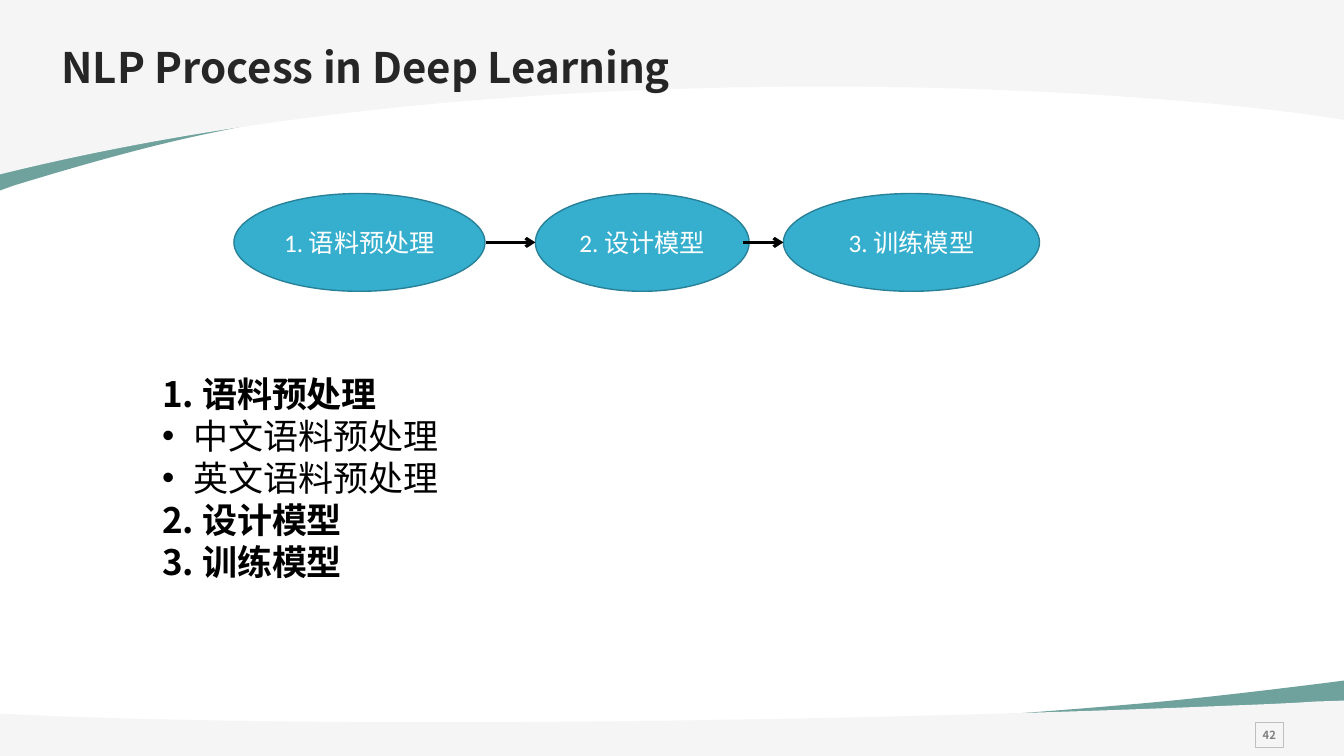
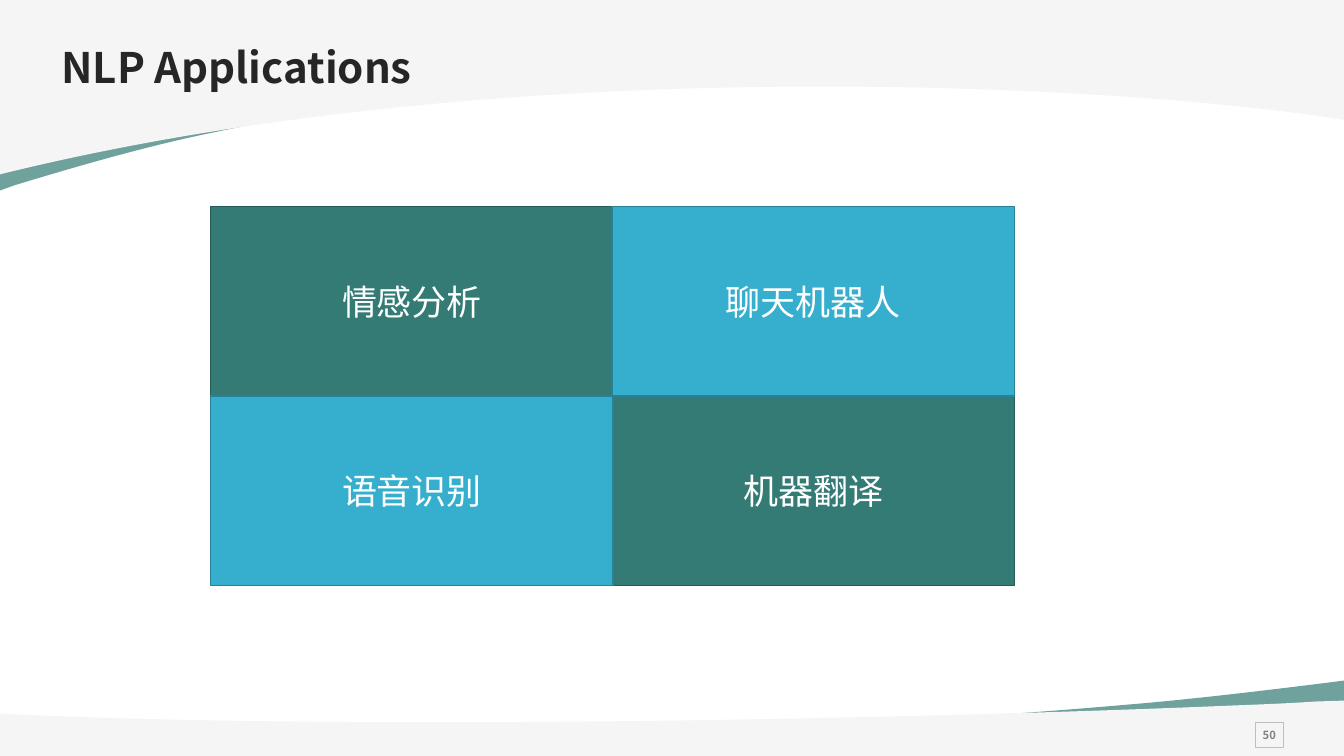
import pptx
import pptx.util
import pptx.dml.color
import pptx.enum.shapes
import pptx.enum.text
import pptx.oxml.ns
from lxml import etree

Inches = pptx.util.Inches
Pt = pptx.util.Pt
RGBColor = pptx.dml.color.RGBColor
SHAPES = pptx.enum.shapes.MSO_SHAPE
ALIGN = pptx.enum.text.PP_ALIGN
ANCHOR = pptx.enum.text.MSO_ANCHOR
qn = pptx.oxml.ns.qn

TEAL = RGBColor(0x33, 0x7B, 0x74)
TEAL_EDGE = RGBColor(0x26, 0x5B, 0x56)
BLUE = RGBColor(0x36, 0xAF, 0xCE)
BLUE_EDGE = RGBColor(0x28, 0x81, 0x98)
PALE = RGBColor(0xF5, 0xF5, 0xF5)
INK = RGBColor(0x26, 0x26, 0x26)
BLACK = RGBColor(0, 0, 0)
WHITE = RGBColor(0xFF, 0xFF, 0xFF)
GREY = RGBColor(0x80, 0x80, 0x80)
BOX_GREY = RGBColor(0xBF, 0xBF, 0xBF)

SANS = "Noto Sans CJK SC"
WIDTH, HEIGHT = 13.33, 7.5

TITLE_FONT = {"name": SANS, "size": Pt(30), "bold": True, "color": INK}
PAGE_FONT = {"name": SANS, "size": Pt(8), "bold": True, "color": GREY}
STEP_FONT = {"name": "Calibri", "size": Pt(18), "color": WHITE}
CELL_FONT = {"name": SANS, "size": Pt(25), "color": WHITE}
HEADING_FONT = {"name": SANS, "size": Pt(25), "bold": True, "color": BLACK}
DETAIL_FONT = {**HEADING_FONT, "bold": False}
BULLET_INDENT = Pt(22.5)

BANDS = [
    (TEAL, 70, (0, 1.89), [
        [(0, 0.22)], [(13.34, 0.22)], [(13.34, 0.91)], [(13.33, 0.91)],
        [(10.32, 0.06), (5.14, 0.67), (2.14, 1.31)],
        [(1.54, 1.43), (0.86, 1.62), (0.14, 1.84)]]),
    (PALE, 100, (0, 0), [
        [(13.33, 0)], [(13.33, 1.19)],
        [(11.4, 0.87), (5.17, 0.45), (0, 1.73)]]),
    (TEAL, 70, (13.34, 6.75), [
        [(13.34, 7.44)], [(0, 7.44)], [(0, 7.15)], [(0.01, 7.16)],
        [(3.01, 7.5), (8.2, 7.25), (11.19, 6.99)],
        [(11.79, 6.94), (12.47, 6.86), (13.19, 6.77)]]),
    (PALE, 100, (13.34, 6.95), [
        [(13.34, 7.17)], [(13.34, 7.19)], [(13.34, 7.5)], [(0, 7.5)],
        [(0, 7.19)], [(0, 7.17)], [(0, 7.08)], [(0.44, 7.1)],
        [(3.92, 7.24), (9.1, 7.13), (12.2, 7)],
        [(12.46, 6.99), (12.75, 6.98), (13.04, 6.96)]]),
]

STEPS = [("1. 语料预处理", 2.32, 2.49), ("2. 设计模型", 5.31, 2.12), ("3. 训练模型", 7.77, 2.54)]
STEP_TOP, STEP_HEIGHT = 1.92, 0.97
ARROWS = [(4.82, 5.31), (7.37, 7.77)]

OUTLINE = [
    ("1. 语料预处理", ["中文语料预处理", "英文语料预处理"]),
    ("2. 设计模型", []),
    ("3. 训练模型", []),
]

APPLICATIONS = [["情感分析", "聊天机器人"], ["语音识别", "机器翻译"]]
GRID_LEFT, GRID_TOP, CELL_WIDTH, CELL_HEIGHT = 2.09, 2.05, 3.99, 1.88
COLUMN_PITCH = 3.98


def write(paragraph, text, style):
    run = paragraph.add_run()
    run.text = text
    for key, value in style.items():
        if key == "color":
            run.font.color.rgb = value
        else:
            setattr(run.font, key, value)
    etree.SubElement(run.font._element, qn("a:ea")).set("typeface", SANS)


def add_block(slide, kind, place, text, style, fill, edge, weight=1):
    block = slide.shapes.add_shape(kind, *map(Inches, place))
    block.shadow.inherit = False
    if fill is None:
        block.fill.background()
    else:
        block.fill.solid()
        block.fill.fore_color.rgb = fill
    block.line.color.rgb = edge
    block.line.width = Pt(weight)
    block.text_frame.vertical_anchor = ANCHOR.MIDDLE
    paragraph = block.text_frame.paragraphs[0]
    paragraph.alignment = ALIGN.CENTER
    write(paragraph, text, style)
    return block


def bend(band, segments):
    sides = list(band._element.iter(qn("a:lnTo")))
    for side, (*controls, _) in zip(sides, segments):
        if controls:
            side.tag = qn("a:cubicBezTo")
            for position, (x, y) in enumerate(controls):
                handle = etree.Element(qn("a:pt"))
                handle.set("x", str(Inches(x) - band.left))
                handle.set("y", str(Inches(y) - band.top))
                side.insert(position, handle)


def add_band(slide, color, opacity, start, segments):
    outline = slide.shapes.build_freeform(*map(Inches, start))
    outline.add_line_segments([tuple(map(Inches, segment[-1])) for segment in segments])
    band = outline.convert_to_shape()
    bend(band, segments)
    band.shadow.inherit = False
    band.line.fill.background()
    band.fill.solid()
    band.fill.fore_color.rgb = color
    if opacity < 100:
        tint = band._element.spPr.find(qn("a:solidFill"))[0]
        etree.SubElement(tint, qn("a:alpha")).set("val", str(opacity * 1000))


def add_page(deck, title, number):
    slide = deck.slides.add_slide(deck.slide_layouts[6])
    for band in BANDS:
        add_band(slide, *band)
    page = add_block(slide, SHAPES.RECTANGLE, (12.45, 7.17, 0.28, 0.25),
                     number, PAGE_FONT, None, BOX_GREY, 0.75)
    page.text_frame.word_wrap = False
    heading = slide.shapes.add_textbox(*map(Inches, (0.53, 0.4, 12, 0.58))).text_frame
    frame = {"word_wrap": True, "vertical_anchor": ANCHOR.MIDDLE, "margin_left": Inches(0.08),
             "margin_right": 0, "margin_top": Inches(0.08), "margin_bottom": Inches(0.08)}
    for key, value in frame.items():
        setattr(heading, key, value)
    heading.paragraphs[0].line_spacing = 0.9
    write(heading.paragraphs[0], title, TITLE_FONT)
    return slide


def add_arrow(slide, start, end, y):
    arrow = slide.shapes.add_connector(pptx.enum.shapes.MSO_CONNECTOR.STRAIGHT,
                                       *map(Inches, (start, y, end, y)))
    arrow.line.color.rgb = BLACK
    arrow.line.width = Pt(2.25)
    etree.SubElement(arrow.line._get_or_add_ln(), qn("a:tailEnd")).set("type", "arrow")
    etree.SubElement(arrow._element.spPr, qn("a:effectLst"))


def add_outline(slide):
    frame = slide.shapes.add_textbox(*map(Inches, (1.51, 3.65, 8.99, 2.2))).text_frame
    frame.word_wrap = True
    lines = []
    for heading, details in OUTLINE:
        lines += [(heading, False)] + [(detail, True) for detail in details]
    for index, (text, bulleted) in enumerate(lines):
        paragraph = frame.add_paragraph() if index else frame.paragraphs[0]
        if bulleted:
            layout = paragraph._p.get_or_add_pPr()
            layout.set("marL", str(BULLET_INDENT))
            layout.set("indent", str(-BULLET_INDENT))
            etree.SubElement(layout, qn("a:buFont")).set("typeface", "Arial")
            etree.SubElement(layout, qn("a:buChar")).set("char", "•")
        write(paragraph, text, DETAIL_FONT if bulleted else HEADING_FONT)


def build_process(deck):
    slide = add_page(deck, "NLP Process in Deep Learning", "42")
    for text, left, width in STEPS:
        add_block(slide, SHAPES.OVAL, (left, STEP_TOP, width, STEP_HEIGHT),
                  text, STEP_FONT, BLUE, BLUE_EDGE)
    for start, end in ARROWS:
        add_arrow(slide, start, end, STEP_TOP + STEP_HEIGHT / 2)
    add_outline(slide)


def build_applications(deck):
    slide = add_page(deck, "NLP Applications", "50")
    for parity, (fill, edge) in enumerate([(TEAL, TEAL_EDGE), (BLUE, BLUE_EDGE)]):
        for row, names in enumerate(APPLICATIONS):
            for column, name in enumerate(names):
                if (row + column) % 2 == parity:
                    place = (GRID_LEFT + column * COLUMN_PITCH, GRID_TOP + row * CELL_HEIGHT,
                             CELL_WIDTH, CELL_HEIGHT)
                    add_block(slide, SHAPES.RECTANGLE, place, name, CELL_FONT, fill, edge)


def main():
    deck = pptx.Presentation()
    deck.slide_width, deck.slide_height = Inches(WIDTH), Inches(HEIGHT)
    build_process(deck)
    build_applications(deck)
    deck.save("out.pptx")


if __name__ == "__main__":
    main()
